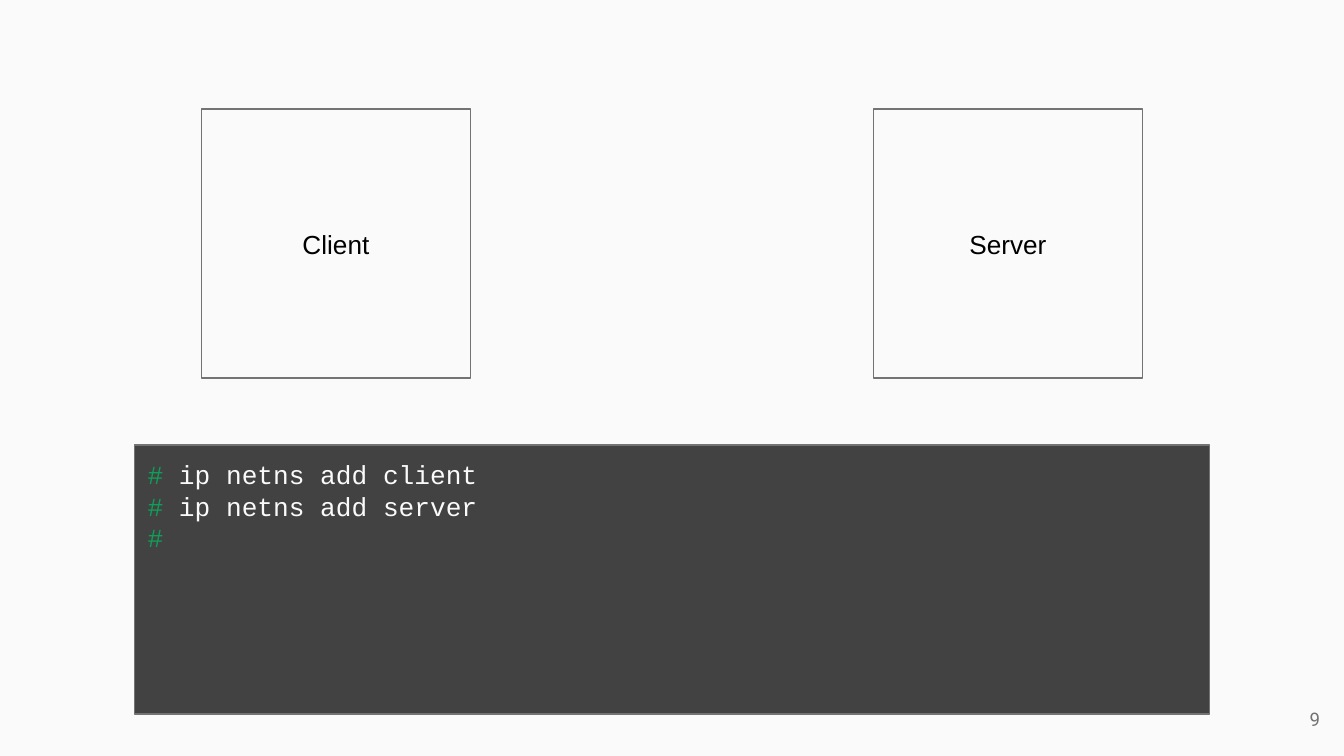
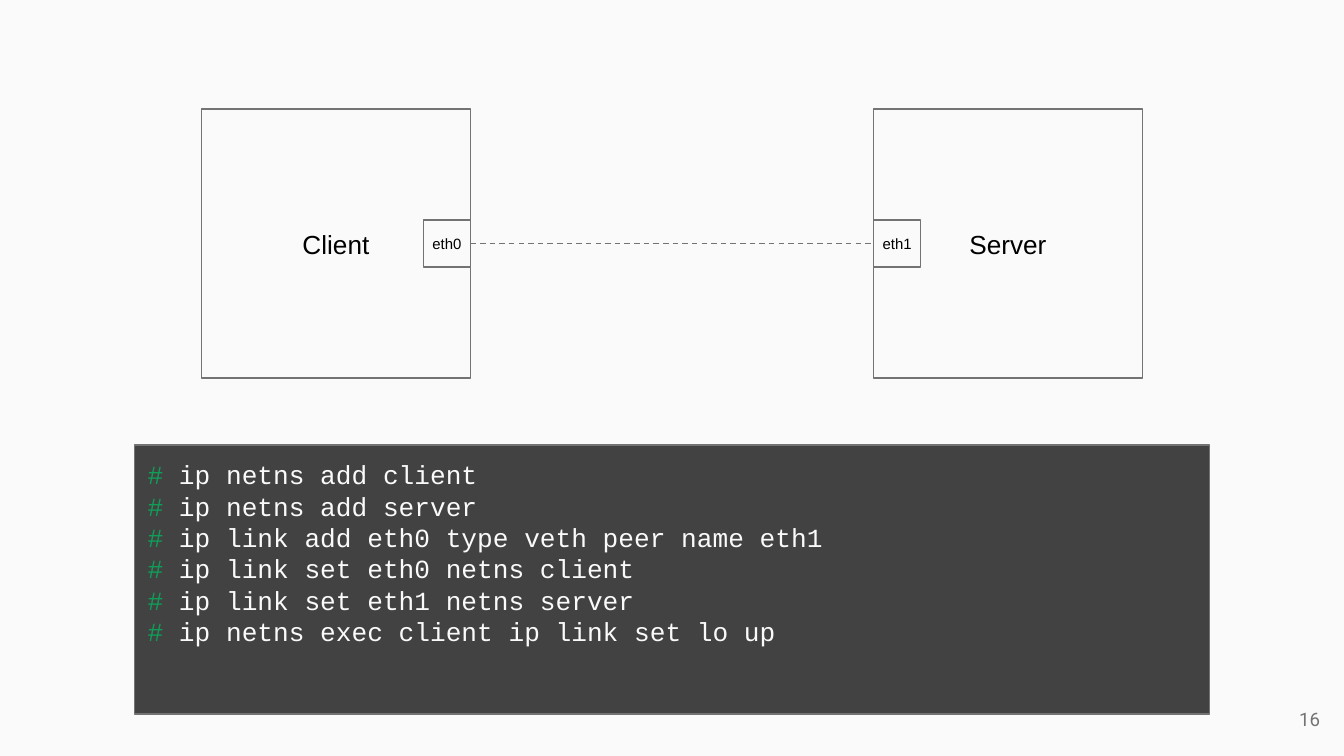
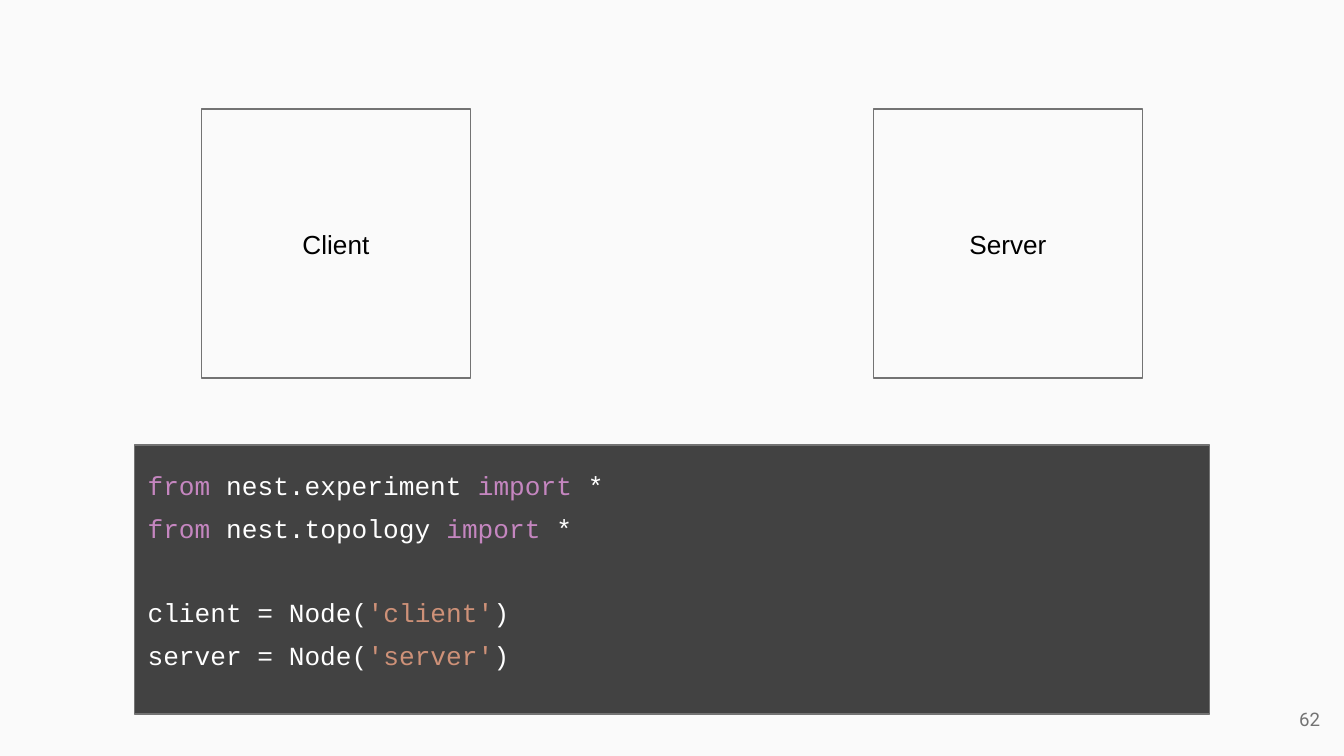
from dataclasses import dataclass

from lxml import etree
from pptx import Presentation
from pptx.dml.color import RGBColor
from pptx.enum.dml import MSO_LINE
from pptx.enum.shapes import MSO_CONNECTOR, MSO_SHAPE
from pptx.enum.text import MSO_ANCHOR, PP_ALIGN
from pptx.oxml.ns import qn
from pptx.util import Pt

RECTANGLE = MSO_SHAPE.RECTANGLE
STRAIGHT = MSO_CONNECTOR.STRAIGHT
DASH = MSO_LINE.DASH
TOP, MIDDLE = MSO_ANCHOR.TOP, MSO_ANCHOR.MIDDLE
LEFT, CENTER, RIGHT = PP_ALIGN.LEFT, PP_ALIGN.CENTER, PP_ALIGN.RIGHT


@dataclass(frozen=True)
class Theme:
    """Colours, fonts and sizes shared by all slides."""

    paper: str = "FAFAFA"
    outline: str = "737373"
    ink: str = "000000"
    console: str = "424242"
    prompt: str = "0F9D58"
    command: str = "FAFAFA"
    keyword: str = "C586C0"
    code: str = "FFFFFF"
    string: str = "CE9178"
    label_font: str = "Arial"
    code_font: str = "Courier New"
    number_font: str = "Roboto"
    body_size: float = 14
    port_size: float = 8
    number_size: float = 10
    line_width: float = 0.75
    inset: float = 7.2


@dataclass(frozen=True)
class Box:
    """A rectangle in points."""

    left: float
    top: float
    width: float
    height: float

    @property
    def middle(self):
        """Return the vertical centre."""
        return self.top + self.height / 2

    @property
    def right(self):
        """Return the right edge."""
        return self.left + self.width

    def lengths(self):
        """Return the four sides as lengths."""
        return [Pt(side) for side in (self.left, self.top, self.width, self.height)]


THEME = Theme()
CLIENT = Box(108, 58.5, 144, 144)
SERVER = Box(468, 58.5, 144, 144)
CONSOLE = Box(72, 238.5, 576, 144)
NUMBER = Box(671.1, 369.9, 43.2, 31)
PORT_SIDE = 25.2
CODE_SPACING = 1.35
CODE_GAP = 22.8


def style_font(font, name, size, colour):
    """Set the face, size and colour of a font."""
    font.name = name
    font.size = Pt(size)
    font.color.rgb = RGBColor.from_string(colour)


def style_line(line):
    """Give a line the common outline."""
    line.color.rgb = RGBColor.from_string(THEME.outline)
    line.width = Pt(THEME.line_width)


def set_frame(frame, anchor, inset):
    """Set wrapping, anchor and insets of a text frame."""
    frame.word_wrap = True
    frame.vertical_anchor = anchor
    frame.margin_left = frame.margin_right = Pt(inset)
    frame.margin_top = frame.margin_bottom = Pt(inset)


def set_label(frame, text, alignment, name, size, colour):
    """Write one formatted line into a text frame."""
    frame.text = text
    para = frame.paragraphs[0]
    para.alignment = alignment
    style_font(para.runs[0].font, name, size, colour)


def add_rectangle(page, box, fill=None):
    """Add an outlined rectangle, filled if a colour is given."""
    shape = page.shapes.add_shape(RECTANGLE, *box.lengths())
    shape.shadow.inherit = False
    if fill:
        shape.fill.solid()
        shape.fill.fore_color.rgb = RGBColor.from_string(fill)
    else:
        shape.fill.background()
    style_line(shape.line)
    return shape


def add_labelled_box(page, box, text, size, inset):
    """Add an unfilled rectangle with a centred label."""
    frame = add_rectangle(page, box).text_frame
    set_frame(frame, MIDDLE, inset)
    set_label(frame, text, CENTER, THEME.label_font, size, THEME.ink)


def add_nodes(page):
    """Add the client and server nodes."""
    for box, name in ((CLIENT, "Client"), (SERVER, "Server")):
        add_labelled_box(page, box, name, THEME.body_size, THEME.inset)


def add_link(page, client, server):
    """Add a port on the facing edge of each node and a dashed link."""
    ports = (("eth0", client, client.right - PORT_SIDE), ("eth1", server, server.left))
    for name, node, left in ports:
        box = Box(left, node.middle - PORT_SIDE / 2, PORT_SIDE, PORT_SIDE)
        add_labelled_box(page, box, name, THEME.port_size, 0)
    link = page.shapes.add_connector(
        STRAIGHT, Pt(client.right), Pt(client.middle), Pt(server.left), Pt(server.middle)
    )
    style_line(link.line)
    link.line.dash_style = DASH
    etree.SubElement(link._element.spPr, qn("a:effectLst"))


def add_console(page, box, lines):
    """Add the dark console with coloured code and return its paragraphs."""
    frame = add_rectangle(page, box, THEME.console).text_frame
    set_frame(frame, TOP, THEME.inset)
    for index, spans in enumerate(lines):
        para = frame.add_paragraph() if index else frame.paragraphs[0]
        para.alignment = LEFT
        for text, colour in spans:
            span = para.add_run()
            span.text = text
            style_font(span.font, THEME.code_font, THEME.body_size, colour)
    return frame.paragraphs


def add_number(page, box, number):
    """Add the slide number."""
    frame = page.shapes.add_textbox(*box.lengths()).text_frame
    set_frame(frame, MIDDLE, THEME.inset)
    set_label(
        frame, str(number), RIGHT, THEME.number_font, THEME.number_size, THEME.outline
    )


def shell_line(command):
    """Return the spans of a prompt and its command."""
    return [("#", THEME.prompt)] + ([(f" {command}", THEME.command)] if command else [])


def import_line(module):
    """Return the spans of a star import."""
    return [
        ("from ", THEME.keyword),
        (f"{module} ", THEME.code),
        ("import ", THEME.keyword),
        ("*", THEME.code),
    ]


def node_line(name):
    """Return the spans of a node definition."""
    return [
        (f"{name} = Node(", THEME.code),
        (f"'{name}'", THEME.string),
        (")", THEME.code),
    ]


def add_page(deck, number):
    """Add a slide with both nodes and its number."""
    page = deck.slides.add_slide(deck.slide_layouts[6])
    add_nodes(page)
    add_number(page, NUMBER, number)
    return page


def add_shell_page(deck, number, commands, linked=False):
    """Add a slide with shell commands and, if linked, the ports."""
    page = add_page(deck, number)
    if linked:
        add_link(page, CLIENT, SERVER)
    add_console(page, CONSOLE, [shell_line(command) for command in commands])


def add_python_page(deck, number, modules, names):
    """Add a slide with imports followed by node definitions."""
    page = add_page(deck, number)
    lines = [import_line(module) for module in modules]
    lines += [node_line(name) for name in names]
    paras = add_console(page, CONSOLE, lines)
    for para in paras:
        para.line_spacing = CODE_SPACING
    paras[len(modules)].space_before = Pt(CODE_GAP)


def main():
    """Build and save the deck."""
    deck = Presentation()
    deck.slide_width, deck.slide_height = Pt(720), Pt(405)
    background = deck.slide_master.background.fill
    background.solid()
    background.fore_color.rgb = RGBColor.from_string(THEME.paper)

    namespaces = ["ip netns add client", "ip netns add server"]
    links = [
        "ip link add eth0 type veth peer name eth1",
        "ip link set eth0 netns client",
        "ip link set eth1 netns server",
        "ip netns exec client ip link set lo up",
    ]
    add_shell_page(deck, 9, namespaces + [""])
    add_shell_page(deck, 16, namespaces + links, linked=True)
    add_python_page(deck, 62, ["nest.experiment", "nest.topology"], ["client", "server"])
    deck.save("out.pptx")


if __name__ == "__main__":
    main()
